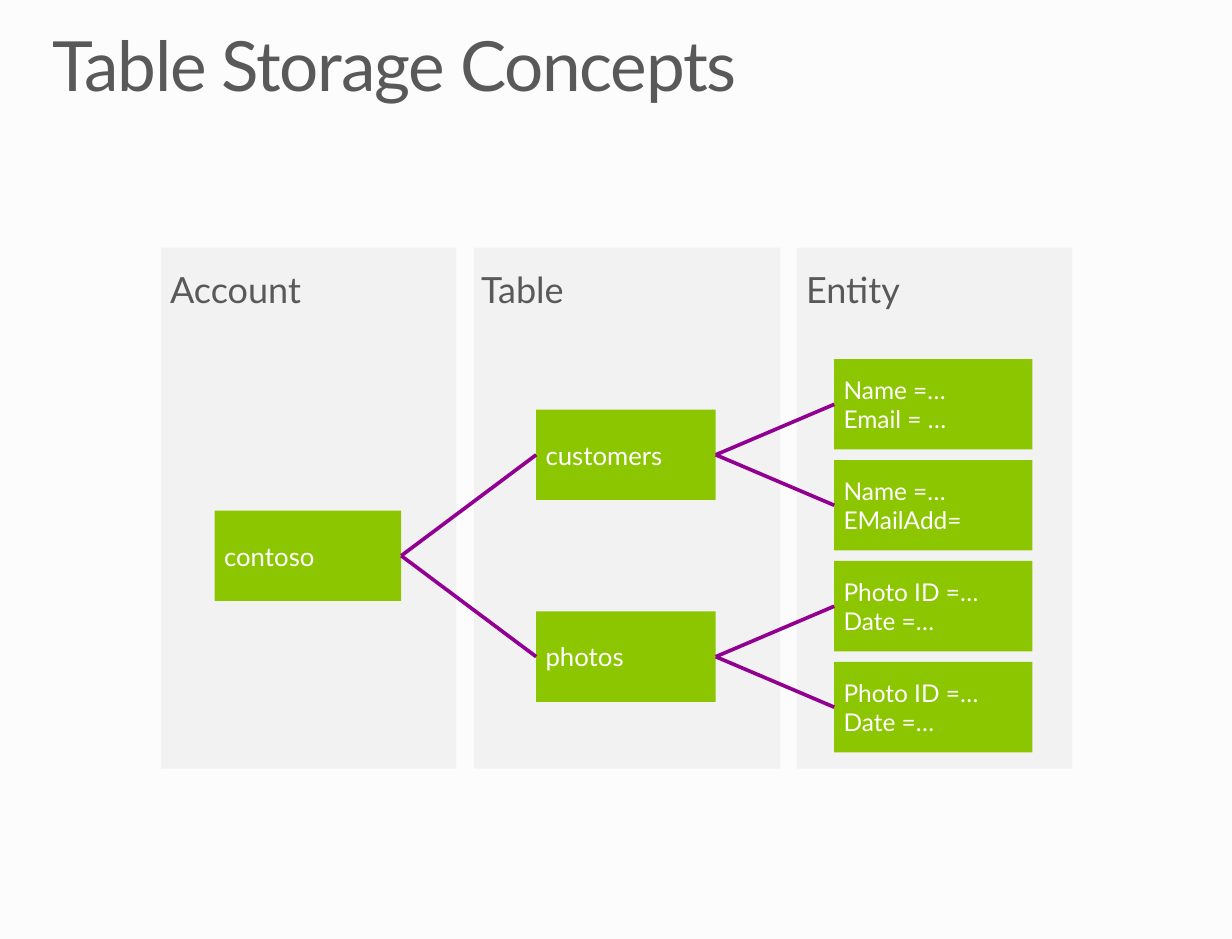
from dataclasses import dataclass

from lxml import etree
from pptx import Presentation
from pptx import util as u
from pptx.dml.color import RGBColor
from pptx.enum import shapes, text
from pptx.oxml.ns import qn

FONT = "Lato"
GREY, PANEL, GREEN, PURPLE, WHITE = "595959", "F2F2F2", "8CC600", "910091", "FFFFFF"
PANEL_TOP, PANEL_HEIGHT, HEADING_HEIGHT = 2.11, 4.44, 1.49
ROW_TOP, ROW_PITCH, NODE_HEIGHT = 3.06, 0.86, 0.77


@dataclass(frozen=True)
class Column:
    heading: str
    left: float
    width: float
    heading_left: float
    node_left: float
    node_width: float
    node_size: float


@dataclass(frozen=True)
class Node:
    column: Column
    row: float
    lines: tuple[str, ...]
    children: tuple["Node", ...] = ()


ACCOUNT = Column("Account", 1.37, 2.52, 1.37, 1.83, 1.59, 15.8)
TABLE = Column("Table", 4.04, 2.61, 4.02, 4.57, 1.53, 15.8)
ENTITY = Column("Entity", 6.79, 2.35, 6.79, 7.11, 1.69, 15)

CUSTOMERS = Node(TABLE, 0.5, ("customers",), (
    Node(ENTITY, 0, ("Name =…", "Email = …")),
    Node(ENTITY, 1, ("Name =…", "EMailAdd=")),
))
PHOTOS = Node(TABLE, 2.5, ("photos",), (
    Node(ENTITY, 2, ("Photo ID =…", "Date =…")),
    Node(ENTITY, 3, ("Photo ID =…", "Date =…")),
))
ROOT = Node(ACCOUNT, 1.5, ("contoso",), (CUSTOMERS, PHOTOS))


def rgb(color: str) -> RGBColor:
    return RGBColor.from_string(color)


def inches(*lengths: float) -> list[int]:
    return [u.Inches(n) for n in lengths]


def write(tf, lines: tuple[str, ...], size: float, color: str, anchor, insets, spacing: float = 1):
    """Fill a text frame with left-aligned lines and return the last run."""
    tf.word_wrap = True
    tf.auto_size = text.MSO_AUTO_SIZE.NONE
    tf.vertical_anchor = anchor
    tf.margin_left, tf.margin_top, tf.margin_right, tf.margin_bottom = inches(*insets)
    for i, line in enumerate(lines):
        p = tf.add_paragraph() if i else tf.paragraphs[0]
        p.alignment = text.PP_ALIGN.LEFT
        p.line_spacing = spacing
        r = p.add_run()
        r.text = line
        r.font.name, r.font.size = FONT, u.Pt(size)
        r.font.color.rgb = rgb(color)
    return r


def add_rect(slide, left: float, top: float, width: float, height: float, fill: str):
    sp = slide.shapes.add_shape(shapes.MSO_SHAPE.RECTANGLE, *inches(left, top, width, height))
    sp.shadow.inherit = False
    sp.fill.solid()
    sp.fill.fore_color.rgb = rgb(fill)
    sp.line.fill.background()
    return sp


def add_column(slide, column: Column) -> None:
    add_rect(slide, column.left, PANEL_TOP, column.width, PANEL_HEIGHT, PANEL)
    box = slide.shapes.add_textbox(
        *inches(column.heading_left, PANEL_TOP, column.width, HEADING_HEIGHT))
    write(box.text_frame, (column.heading,), 22.1, GREY,
          text.MSO_ANCHOR.TOP, (0.08, 0.21, 0.21, 0.21), 0.9)


def connect(slide, parent, child) -> None:
    line = slide.shapes.add_connector(shapes.MSO_CONNECTOR.STRAIGHT, 0, 0, 0, 0)
    line.begin_connect(parent, 3)
    line.end_connect(child, 1)
    line.line.color.rgb = rgb(PURPLE)
    line.line.width = u.Pt(2.25)
    etree.SubElement(line._element.spPr, qn("a:effectLst"))


def add_tree(slide, node: Node):
    """Draw a node with everything below it and return its rectangle."""
    column = node.column
    sp = add_rect(slide, column.node_left, ROW_TOP + node.row * ROW_PITCH,
                  column.node_width, NODE_HEIGHT, GREEN)
    write(sp.text_frame, node.lines, column.node_size, WHITE,
          text.MSO_ANCHOR.MIDDLE, (0.08, 0.04, 0.08, 0.04))
    for child in node.children:
        connect(slide, sp, add_tree(slide, child))
    return sp


def add_title(slide, wording: str) -> None:
    title = slide.shapes.title
    title.left, title.top, title.width, title.height = inches(0.45, 0.27, 9.6, 1.31)
    r = write(title.text_frame, (wording,), 42.5, GREY,
              text.MSO_ANCHOR.TOP, (0, 0, 0, 0), 0.9)
    r.font._element.set("spc", "-80")


def main() -> None:
    prs = Presentation()
    prs.slide_width, prs.slide_height = inches(10.5, 8)
    slide = prs.slides.add_slide(prs.slide_layouts[5])
    slide.background.fill.solid()
    slide.background.fill.fore_color.rgb = rgb("FCFCFC")
    add_title(slide, "Table Storage Concepts")
    for column in (ACCOUNT, TABLE, ENTITY):
        add_column(slide, column)
    add_tree(slide, ROOT)
    prs.save("out.pptx")


if __name__ == "__main__":
    main()
